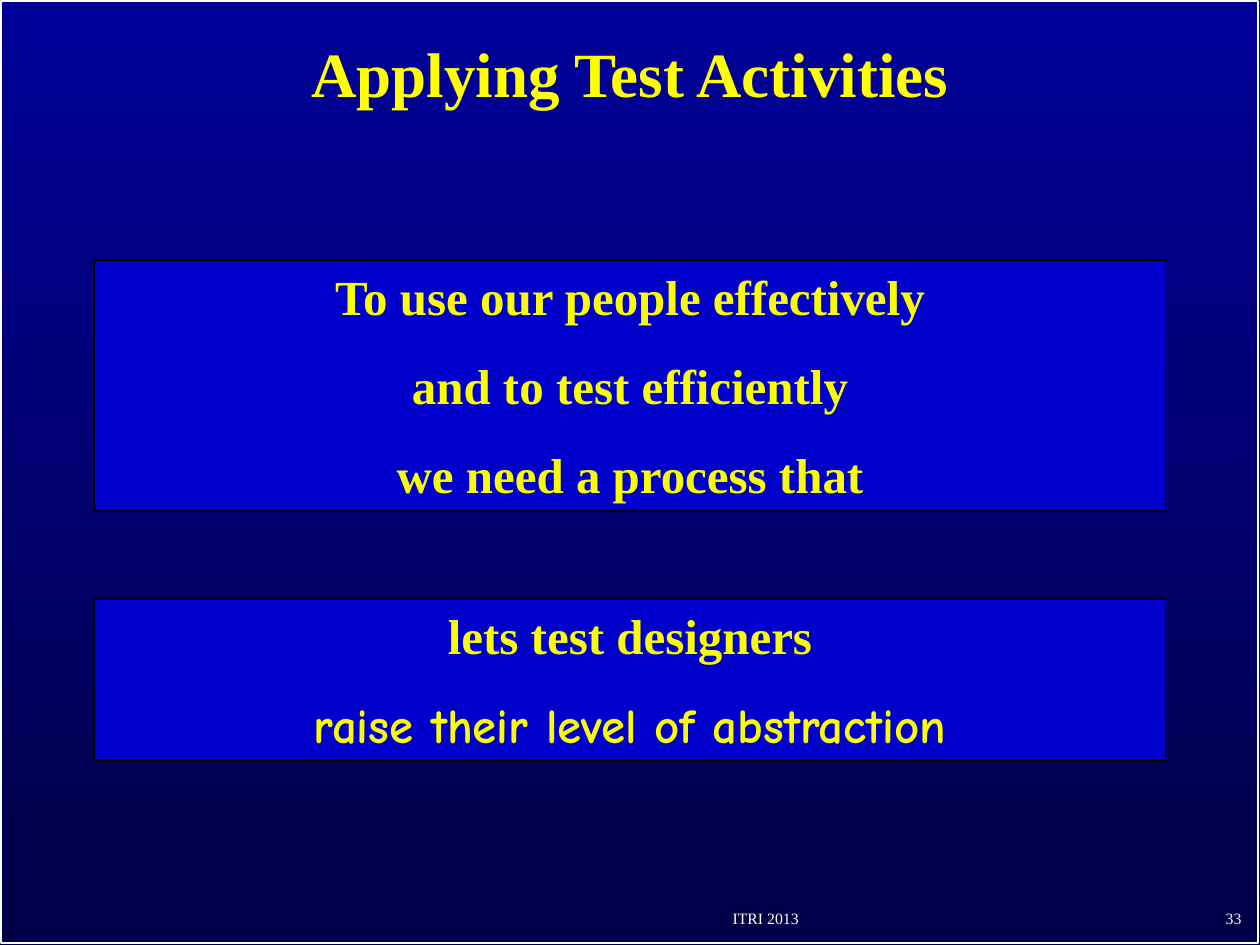
from dataclasses import dataclass

from pptx import Presentation
from pptx.dml.color import RGBColor
from pptx.enum.shapes import MSO_SHAPE
from pptx.enum.text import MSO_ANCHOR, PP_ALIGN
from pptx.shapes.autoshape import Shape
from pptx.slide import Slide
from pptx.text.text import TextFrame
from pptx.util import Pt

COLORS = {
    "top": "000099",
    "bottom": "000047",
    "title": "FFFF00",
    "statement": "FAFD00",
    "panel": "0000CC",
    "outline": "000000",
    "white": "FFFFFF",
}
SERIF = "Times New Roman"
CASUAL = "Comic Neue"


@dataclass(frozen=True)
class Line:
    text: str
    font: str = SERIF
    bold: bool = True


@dataclass(frozen=True)
class Panel:
    top: float
    height: float
    lines: tuple[Line, ...]


@dataclass(frozen=True)
class FooterItem:
    text: str
    left: float
    width: float
    alignment: PP_ALIGN


PANELS = (
    Panel(148.5, 143.5, (
        Line("To use our people effectively"),
        Line("and to test efficiently"),
        Line("we need a process that"),
    )),
    Panel(342.5, 92, (
        Line("lets test designers"),
        Line("raise their level of abstraction", CASUAL),
    )),
)
FOOTER = (
    FooterItem("ITRI 2013", 323.5, 228, PP_ALIGN.CENTER),
    FooterItem("33", 566.5, 150, PP_ALIGN.RIGHT),
)


def color(name: str) -> RGBColor:
    return RGBColor.from_string(COLORS[name])


def format_text(text_frame: TextFrame, lines: tuple[Line, ...], size: float,
                color_name: str, alignment: PP_ALIGN) -> None:
    text_frame.text = "\n".join(line.text for line in lines)
    for paragraph, line in zip(text_frame.paragraphs, lines):
        paragraph.alignment = alignment
        font = paragraph.runs[0].font
        font.name = line.font
        font.size = Pt(size)
        font.bold = line.bold
        font.color.rgb = color(color_name)


def paint_background(slide: Slide) -> None:
    fill = slide.background.fill
    fill.gradient()
    fill.gradient_angle = 270
    for stop, name in zip(fill.gradient_stops, ("top", "bottom")):
        stop.color.rgb = color(name)


def add_rectangle(slide: Slide, left: float, top: float, width: float,
                  height: float, line_color: str) -> Shape:
    shape = slide.shapes.add_shape(
        MSO_SHAPE.RECTANGLE, Pt(left), Pt(top), Pt(width), Pt(height))
    shape.shadow.inherit = False
    shape.fill.background()
    shape.line.color.rgb = color(line_color)
    shape.line.width = Pt(1)
    return shape


def format_title(slide: Slide, text: str) -> None:
    title = slide.shapes.title
    title.left, title.top = Pt(7), Pt(8)
    title.width, title.height = Pt(706), Pt(72)
    title.text_frame.vertical_anchor = MSO_ANCHOR.MIDDLE
    format_text(title.text_frame, (Line(text),), 36, "title", PP_ALIGN.CENTER)
    title.text_frame.paragraphs[0].line_spacing = 0.9


def add_panel(slide: Slide, panel: Panel) -> None:
    shape = add_rectangle(slide, 54, panel.top, 612, panel.height, "outline")
    shape.fill.solid()
    shape.fill.fore_color.rgb = color("panel")
    text_frame = shape.text_frame
    text_frame.vertical_anchor = MSO_ANCHOR.TOP
    format_text(text_frame, panel.lines, 28, "statement", PP_ALIGN.CENTER)
    for paragraph in text_frame.paragraphs[1:]:
        paragraph.space_before = Pt(17.5)


def add_footer_item(slide: Slide, item: FooterItem) -> None:
    box = slide.shapes.add_textbox(
        Pt(item.left), Pt(513), Pt(item.width), Pt(20.5))
    box.text_frame.word_wrap = True
    box.text_frame.vertical_anchor = MSO_ANCHOR.BOTTOM
    format_text(box.text_frame, (Line(item.text, bold=False),), 9, "white",
                item.alignment)


def main() -> None:
    presentation = Presentation()
    presentation.slide_width, presentation.slide_height = Pt(720), Pt(540)
    title_only = presentation.slide_layouts.get_by_name("Title Only")
    slide = presentation.slides.add_slide(title_only)
    paint_background(slide)
    add_rectangle(slide, 0.75, 0.75, 718, 538, "white")
    format_title(slide, "Applying Test Activities")
    for panel in PANELS:
        add_panel(slide, panel)
    for item in FOOTER:
        add_footer_item(slide, item)
    presentation.save("out.pptx")


if __name__ == "__main__":
    main()
